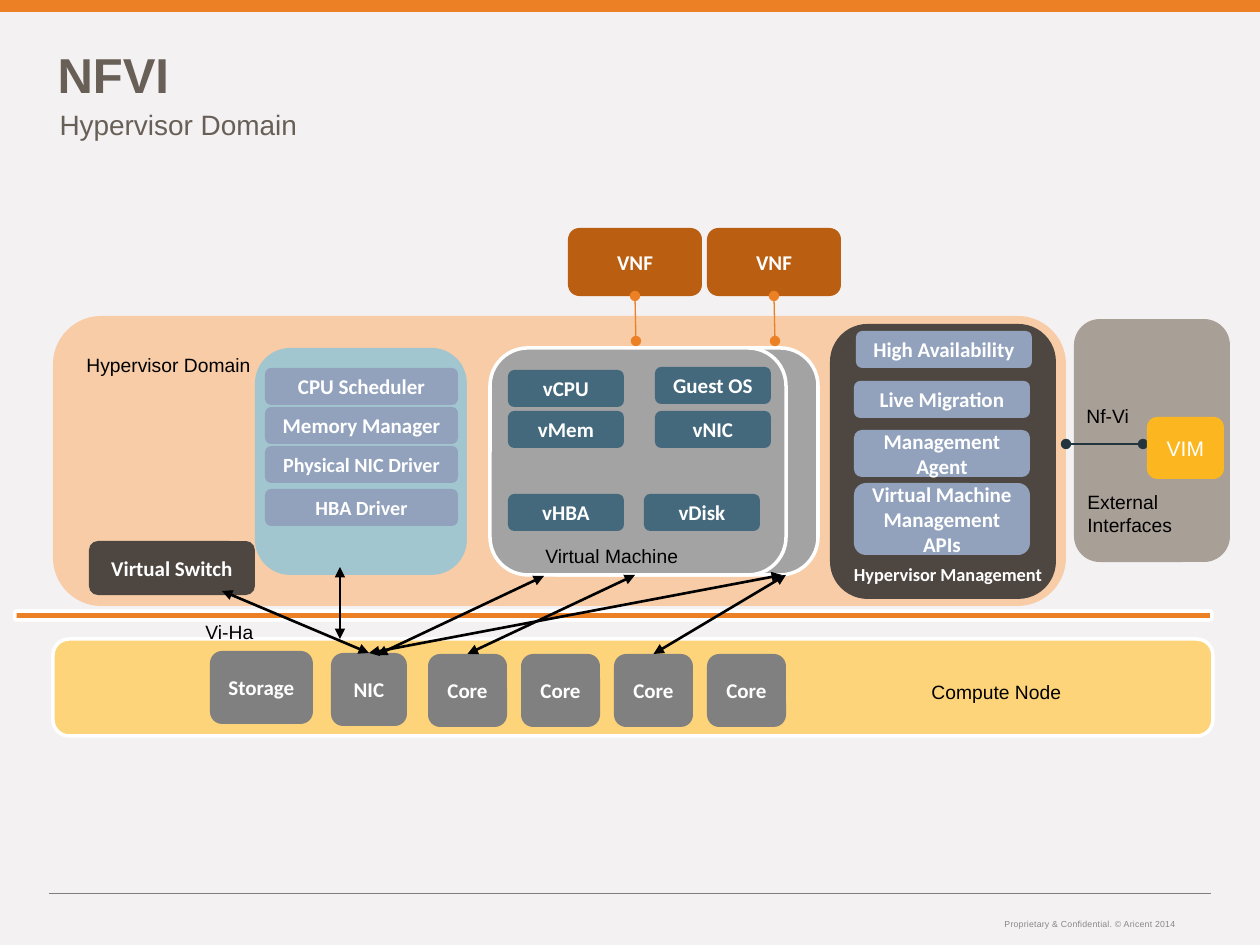
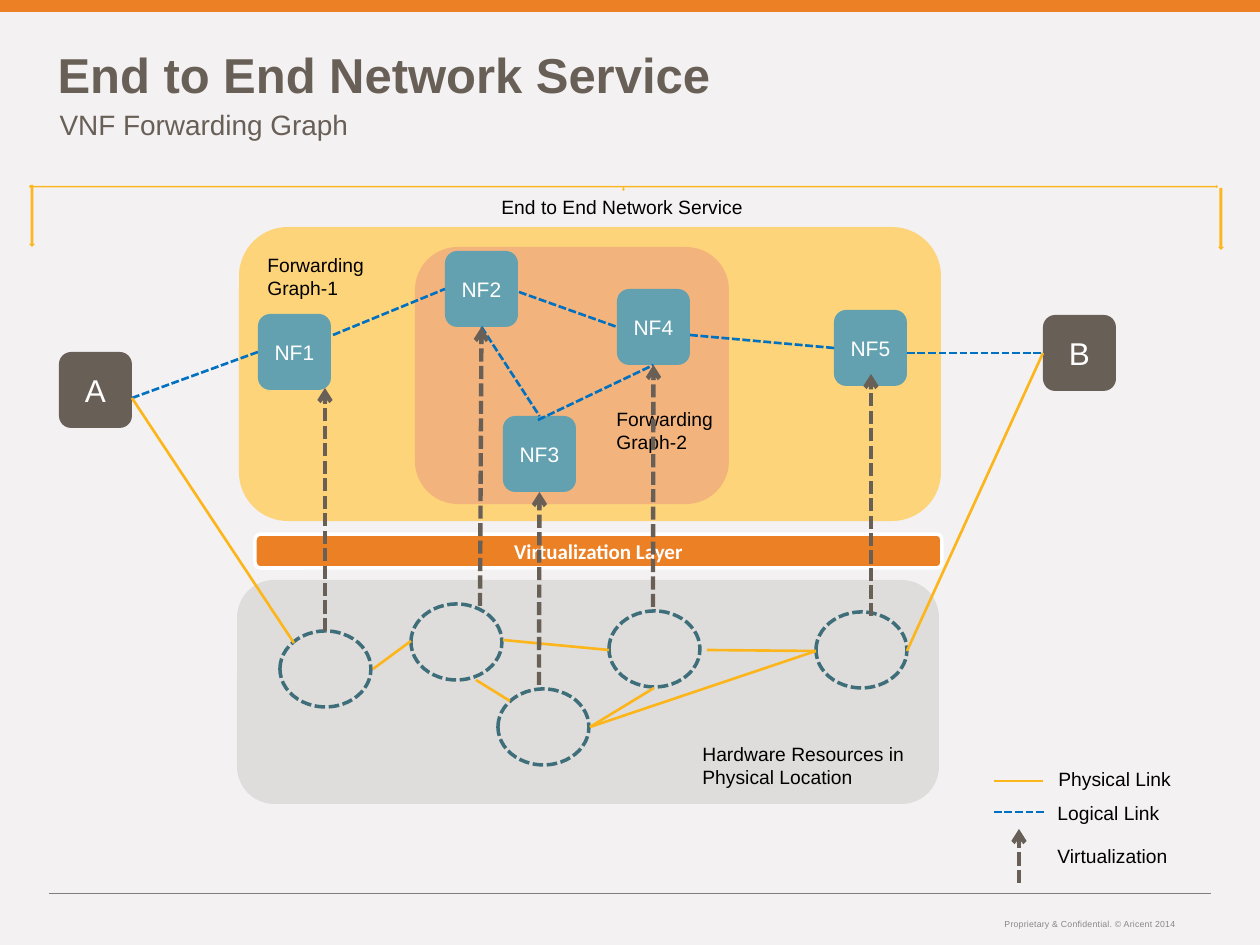
from lxml import etree
from pptx import Presentation
from pptx import util as u
from pptx.dml.color import RGBColor
from pptx.enum import dml, shapes, text
from pptx.oxml import ns

EMU_PER_PX = 914400 / 126

BACKDROP = RGBColor(0xF4, 0xF1, 0xF3)
ORANGE = RGBColor(0xEB, 0x80, 0x24)
RUST = RGBColor(0xBA, 0x5F, 0x11)
PEACH = RGBColor(0xF7, 0xCC, 0xA7)
APRICOT = RGBColor(0xF3, 0xB3, 0x7C)
AMBER = RGBColor(0xFC, 0xB7, 0x20)
LINK_AMBER = RGBColor(0xFC, 0xB5, 0x1A)
SAND = RGBColor(0xFD, 0xD4, 0x79)
TAUPE = RGBColor(0x68, 0x5F, 0x57)
DARK_TAUPE = RGBColor(0x4E, 0x47, 0x41)
STONE = RGBColor(0xA8, 0x9F, 0x97)
PALE_STONE = RGBColor(0xDF, 0xDD, 0xDB)
GREY = RGBColor(0x80, 0x80, 0x80)
MACHINE_GREY = RGBColor(0xA3, 0xA3, 0xA3)
RULE_GREY = RGBColor(0x7F, 0x7F, 0x7F)
FOOTER_GREY = RGBColor(0x88, 0x88, 0x88)
PALE_TEAL = RGBColor(0xA1, 0xC6, 0xCF)
TEAL = RGBColor(0x64, 0xA1, 0xB0)
DARK_TEAL = RGBColor(0x3E, 0x6E, 0x7A)
STEEL = RGBColor(0x44, 0x69, 0x7D)
PERIWINKLE = RGBColor(0x92, 0xA2, 0xBD)
NAVY = RGBColor(0x22, 0x34, 0x3E)
BLUE = RGBColor(0x00, 0x70, 0xC0)
WHITE = RGBColor(0xFF, 0xFF, 0xFF)
BLACK = RGBColor(0, 0, 0)

TITLE = {"name": "Arial", "size": u.Pt(28), "bold": True}
SUBTITLE = {"name": "Arial", "size": u.Pt(16), "bold": False}
LABEL = {"name": "Arial", "size": u.Pt(11), "bold": False}
FOOTER = {"name": "Arial", "size": u.Pt(5), "bold": False}
CHIP = {"name": "Calibri", "size": u.Pt(12), "bold": True}
SMALL_CHIP = CHIP | {"size": u.Pt(11.5)}
CAPTION = CHIP | {"size": u.Pt(10.5)}
NODE = {"name": "Arial", "size": u.Pt(12), "bold": False}
ENDPOINT = NODE | {"size": u.Pt(18)}

TOP, LEFT, BOTTOM = 0, 1, 2
DASH = dml.MSO_LINE.SQUARE_DOT
ROUNDED = shapes.MSO_SHAPE.ROUNDED_RECTANGLE

TWO_WAY = {"colour": BLACK, "weight": 1.5, "head": "triangle", "tail": "triangle"}
VNF_LINK = {"colour": ORANGE, "weight": 0.75, "head": "oval", "tail": "oval"}
VIM_LINK = {"colour": NAVY, "weight": 1.5, "head": "oval", "tail": "oval"}
PHYSICAL = {"colour": LINK_AMBER, "weight": 1.5}
LOGICAL = {"colour": BLUE, "weight": 1.5, "dash": DASH}
VIRTUAL = {"colour": TAUPE, "weight": 2.5, "dash": DASH, "tail": "arrow"}


def px(count):
    return u.Emu(round(count * EMU_PER_PX))


def assign(target, values):
    for name, value in values.items():
        setattr(target, name, value)


def place(box, left, top, width, height):
    assign(box, {"left": px(left), "top": px(top), "width": px(width), "height": px(height)})


def write(box, words, font, colour, align=text.PP_ALIGN.LEFT, **layout):
    frame = box.text_frame
    frame.text = words
    assign(frame, layout)
    for para in frame.paragraphs:
        para.alignment = align
        for span in para.runs:
            assign(span.font, font)
            span.font.color.rgb = colour
    return frame.paragraphs[0]


def add_box(page, area, fill=None, words="", font=CHIP, outline=None, kind=ROUNDED, weight=2, dash=None):
    box = page.shapes.add_shape(kind, *map(px, area))
    box.shadow.inherit = False
    if fill is None:
        box.fill.background()
    else:
        box.fill.solid()
        box.fill.fore_color.rgb = fill
    if outline is None:
        box.line.fill.background()
    else:
        box.line.color.rgb = outline
        assign(box.line, {"width": u.Pt(weight), "dash_style": dash})
    if words:
        write(box, words, font, WHITE, text.PP_ALIGN.CENTER,
              word_wrap=True, vertical_anchor=text.MSO_ANCHOR.MIDDLE)
    return box


def add_label(page, area, words, font=LABEL, colour=BLACK, align=text.PP_ALIGN.LEFT, wrap=False, **layout):
    box = page.shapes.add_textbox(*map(px, area))
    write(box, words, font, colour, align, word_wrap=wrap,
          auto_size=text.MSO_AUTO_SIZE.SHAPE_TO_FIT_TEXT, **layout)
    return box


def add_link(page, start, end, colour, weight, dash=None, head=None, tail=None):
    points = [point if isinstance(point[0], int) else (0, 0) for point in (start, end)]
    link = page.shapes.add_connector(
        shapes.MSO_CONNECTOR.STRAIGHT, *(px(value) for point in points for value in point))
    for point, join in ((start, link.begin_connect), (end, link.end_connect)):
        if not isinstance(point[0], int):
            join(*point)
    link.line.color.rgb = colour
    assign(link.line, {"width": u.Pt(weight), "dash_style": dash})
    for tag, kind in (("a:headEnd", head), ("a:tailEnd", tail)):
        if kind:
            etree.SubElement(link.line._get_or_add_ln(), ns.qn(tag), type=kind)
    etree.SubElement(link.element.spPr, ns.qn("a:effectLst"))
    return link


def add_links(page, style, pairs):
    for start, end in pairs:
        add_link(page, start, end, **style)


def style_layout(layout, page):
    layout.background.fill.solid()
    layout.background.fill.fore_color.rgb = BACKDROP
    place(layout.placeholders[0], 45, 45, 1134, 74)
    place(layout.placeholders[1], 38, 101, 1134, 55)
    band = add_box(page, (0, 0, 1260, 12), ORANGE, kind=shapes.MSO_SHAPE.RECTANGLE)
    notice = add_label(
        page, (638, 916, 538, 17), "Proprietary & Confidential. © Aricent 2014", FOOTER, FOOTER_GREY,
        text.PP_ALIGN.RIGHT, True, vertical_anchor=text.MSO_ANCHOR.MIDDLE,
        margin_left=0, margin_right=0, margin_top=0, margin_bottom=0)
    notice.text_frame.paragraphs[0].runs[0].font._element.set("spc", "10")
    rule = add_link(page, (49, 893), (1211, 893), RULE_GREY, 0.25)
    for item in (band, notice, rule):
        layout.shapes.element.append(item.element)


def add_heading(page, title, subtitle):
    top = {"vertical_anchor": text.MSO_ANCHOR.TOP, "auto_size": text.MSO_AUTO_SIZE.NONE}
    para = write(page.shapes.title, title, TITLE, TAUPE, **top)
    para.line_spacing = 0.9
    para = write(page.placeholders[1], subtitle, SUBTITLE, TAUPE, **top)
    properties = para._p.get_or_add_pPr()
    properties.set("marL", str(px(9)))
    properties.set("indent", "0")
    etree.SubElement(properties, ns.qn("a:buNone"))
    assign(para, {"space_before": u.Pt(0), "space_after": u.Pt(6)})


def draw_hypervisor(page):
    add_heading(page, "NFVI", "Hypervisor Domain")
    add_box(page, (15, 611, 1197, 9), ORANGE, outline=WHITE)
    add_box(page, (53, 316, 1013, 290), PEACH)
    add_box(page, (255, 348, 212, 227), PALE_TEAL)
    for left in (522, 490):
        add_box(page, (left, 348, 296, 227), MACHINE_GREY, outline=WHITE)
    add_box(page, (830, 324, 226, 275), DARK_TAUPE)
    add_box(page, (1074, 319, 156, 243), STONE)
    add_box(page, (53, 639, 1160, 97), SAND, outline=WHITE)
    add_box(page, (89, 541, 166, 54), DARK_TAUPE, "Virtual Switch")

    for top, words, font in ((368, "CPU Scheduler", CHIP), (407, "Memory Manager", CHIP),
                             (446, "Physical NIC Driver", SMALL_CHIP), (489, "HBA Driver", SMALL_CHIP)):
        add_box(page, (265, top, 193, 37), PERIWINKLE, words, font)
    for left, top, words in ((655, 367, "Guest OS"), (655, 411, "vNIC"), (508, 370, "vCPU"),
                             (508, 411, "vMem"), (508, 494, "vHBA"), (644, 494, "vDisk")):
        add_box(page, (left, top, 116, 37), STEEL, words)
    for left, top, height, words in ((856, 331, 37, "High Availability"), (854, 381, 37, "Live Migration"),
                                     (854, 430, 47, "Management Agent"),
                                     (854, 483, 72, "Virtual Machine Management APIs")):
        add_box(page, (left, top, 176, height), PERIWINKLE, words)

    add_box(page, (210, 651, 103, 73), GREY, "Storage")
    nic = add_box(page, (331, 653, 76, 73), GREY, "NIC")
    cores = [add_box(page, (428 + 93 * index, 654, 79, 73), GREY, "Core") for index in range(4)]
    vnfs = [add_box(page, (left, 228, 134, 68), RUST, "VNF") for left in (568, 707)]

    add_links(page, VIM_LINK, [((1143, 444), (1066, 444))])
    add_box(page, (1147, 417, 77, 62), AMBER, "VIM", NODE)
    add_links(page, VNF_LINK, [((vnf, BOTTOM), (end, 341)) for vnf, end in zip(vnfs, (636, 775))])
    add_links(page, TWO_WAY, [
        ((222, 591), (nic, TOP)),
        ((635, 575), (cores[0], TOP)),
        ((786, 575), (cores[2], TOP)),
        ((544, 576), (377, 655)),
        ((782, 575), (nic, TOP)),
        ((340, 567), (340, 639)),
    ])

    for area, words in (((1074, 398, 69, 37), "Nf-Vi"), ((533, 538, 160, 37), "Virtual Machine"),
                        ((919, 674, 156, 37), "Compute Node"), ((193, 614, 74, 37), "Vi-Ha"),
                        ((74, 347, 190, 37), "Hypervisor Domain")):
        add_label(page, area, words)
    add_label(page, (1075, 484, 161, 59), "External Interfaces", wrap=True)
    add_label(page, (839, 557, 218, 35), "Hypervisor Management", CAPTION, WHITE, text.PP_ALIGN.CENTER, True)


def draw_forwarding_graph(page):
    add_heading(page, "End to End Network Service", "VNF Forwarding Graph")
    add_box(page, (237, 580, 702, 224), PALE_STONE)
    add_box(page, (239, 227, 702, 294), SAND)
    add_box(page, (415, 247, 314, 257), APRICOT)
    add_box(page, (255, 534, 687, 34), ORANGE, "Virtualization Layer", outline=WHITE)

    functions = [(258, 314), (445, 251), (503, 416), (617, 289), (834, 310)]
    nf1, nf2, nf3, nf4, nf5 = [
        add_box(page, (left, top, 73, 76), TEAL, f"NF{number}", NODE)
        for number, (left, top) in enumerate(functions, 1)]
    add_box(page, (59, 352, 73, 76), TAUPE, "A", ENDPOINT)
    end_b = add_box(page, (1043, 315, 73, 76), TAUPE, "B", ENDPOINT)
    for left, top in ((280, 631), (411, 604), (498, 689), (609, 611), (816, 612)):
        add_box(page, (left, top, 91, 76), outline=DARK_TEAL, kind=shapes.MSO_SHAPE.OVAL, dash=DASH)

    for area, words in (((255, 247, 123, 59), "Forwarding\nGraph-1"), ((604, 401, 123, 59), "Forwarding\nGraph-2"),
                        ((489, 189, 268, 37), "End to End Network Service"),
                        ((690, 736, 228, 59), "Hardware Resources in\nPhysical Location"),
                        ((1046, 761, 139, 37), "Physical Link"), ((1045, 795, 129, 37), "Logical Link"),
                        ((1045, 838, 137, 37), "Virtualization")):
        add_label(page, area, words)

    add_links(page, LOGICAL, [
        ((132, 398), (nf1, LEFT)),
        ((333, 335), (nf2, LEFT)),
        ((nf2, BOTTOM), (nf3, TOP)),
        ((519, 292), (nf4, LEFT)),
        ((538, 420), (nf4, BOTTOM)),
        ((690, 335), (nf5, LEFT)),
        ((907, 353), (end_b, LEFT)),
        ((994, 812), (1045, 812)),
    ])
    add_links(page, PHYSICAL, [
        ((132, 398), (294, 643)),
        ((373, 669), (411, 641)),
        ((503, 640), (609, 650)),
        ((476, 680), (510, 701)),
        ((590, 727), (654, 688)),
        ((707, 650), (816, 651)),
        ((590, 727), (816, 651)),
        ((907, 651), (end_b, LEFT)),
        ((994, 781), (1043, 781)),
    ])
    add_links(page, VIRTUAL, [
        ((325, 631), (325, 388)),
        ((480, 606), (nf2, BOTTOM)),
        ((653, 607), (nf4, BOTTOM)),
        ((539, 685), (nf3, BOTTOM)),
        ((871, 616), (871, 374)),
        ((1019, 883), (1019, 829)),
    ])

    span_arrow = add_box(page, (29, 185, 1189, 6), AMBER, kind=shapes.MSO_SHAPE.LEFT_RIGHT_UP_ARROW)
    span_arrow.rotation = 180
    for left, top in ((29, 185), (1218, 188)):
        add_box(page, (left, top, 6, 62), AMBER, kind=shapes.MSO_SHAPE.DOWN_ARROW)


def main():
    deck = Presentation()
    assign(deck, {"slide_width": px(1260), "slide_height": px(945)})
    layout = deck.slide_layouts[1]
    pages = [deck.slides.add_slide(layout) for _ in range(2)]
    style_layout(layout, pages[0])
    for page, draw in zip(pages, (draw_hypervisor, draw_forwarding_graph)):
        draw(page)
    deck.save("out.pptx")


if __name__ == "__main__":
    main()
